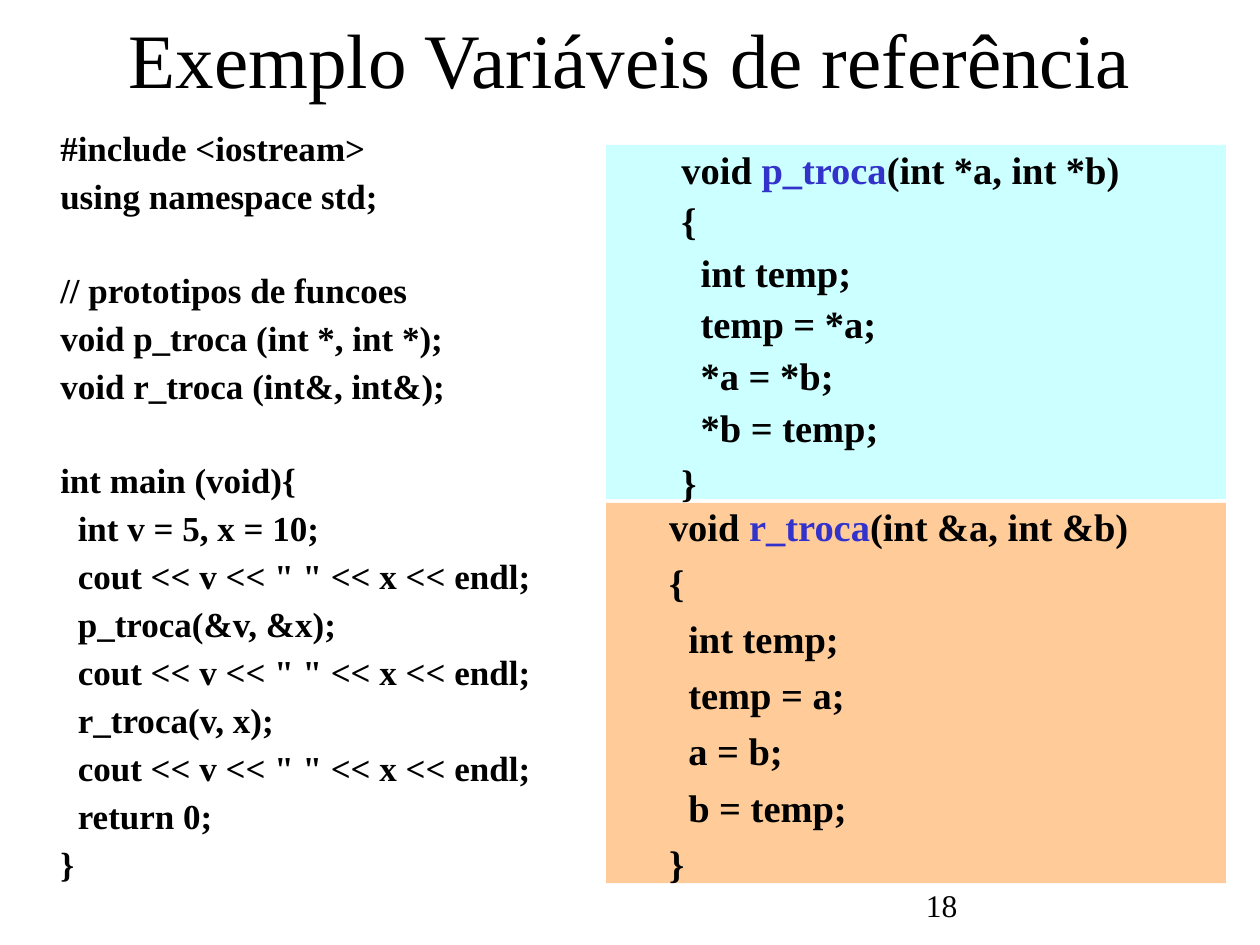
from pptx import Presentation
from pptx.dml.color import RGBColor
from pptx.enum.shapes import MSO_SHAPE
from pptx.enum.text import MSO_ANCHOR, PP_ALIGN
from pptx.util import Inches, Pt

RECT = MSO_SHAPE.RECTANGLE
LEFT, CENTER = PP_ALIGN.LEFT, PP_ALIGN.CENTER
TOP, MIDDLE = MSO_ANCHOR.TOP, MSO_ANCHOR.MIDDLE
FONT = "Times New Roman"
COLORS = {"ink": "000000", "name": "3333CC", "cyan": "CCFFFF", "peach": "FFCC99"}

MAIN = """#include <iostream>
using namespace std;

// prototipos de funcoes
void p_troca (int *, int *);
void r_troca (int&, int&);

int main (void){
  int v = 5, x = 10;
  cout << v << " " << x << endl;
  p_troca(&v, &x);
  cout << v << " " << x << endl;
  r_troca(v, x);
  cout << v << " " << x << endl;
  return 0;
}"""

P_SWAP = """void p_troca(int *a, int *b)
{
  int temp;
  temp = *a;
  *a = *b;
  *b = temp;
}"""

R_SWAP = """void r_troca(int &a, int &b)
{
  int temp;
  temp = a;
  a = b;
  b = temp;
}"""


def rgb(key):
    return RGBColor.from_string(COLORS[key])


def add_run(para, text, size, bold, color):
    run = para.add_run()
    run.text = text
    font = run.font
    font.name, font.size, font.bold = FONT, Pt(size), bold
    font.color.rgb = rgb(color)


def write(shape, text, size=20, bold=False, mark="", align=LEFT, anchor=TOP,
          inset=(0.1, 0.05), margin=0, line=1.0, before=0, last=None):
    """Fill a shape; leading spaces become indents, empty lines become spacing."""
    frame = shape.text_frame
    frame.word_wrap = True
    frame.vertical_anchor = anchor
    frame.margin_left = frame.margin_right = Inches(inset[0])
    frame.margin_top = frame.margin_bottom = Inches(inset[1])
    rows = text.split("\n")
    para, gap = frame.paragraphs[0], before
    for i, row in enumerate(rows):
        code = row.lstrip()
        if not code:
            gap += before + size * 1.15 * line
            continue
        if i:
            para = frame.add_paragraph()
        if last is not None and i == len(rows) - 1:
            gap = last
        para.alignment, para.line_spacing = align, line
        para.space_before, gap = Pt(gap), before
        step = Pt((len(row) - len(code)) * size / 4)
        props = para._p.get_or_add_pPr()
        props.set("marL", str(Inches(margin) + step))
        props.set("indent", "0")
        if mark and mark in code:
            head, name, tail = code.partition(mark)
            parts = ((head, "ink"), (name, "name"), (tail, "ink"))
        else:
            parts = ((code, "ink"),)
        for part, color in parts:
            add_run(para, part, size, bold, color)


def add_text(slide, box, text, **style):
    write(slide.shapes.add_textbox(*map(Inches, box)), text, **style)


def add_panel(slide, box, fill, text, **style):
    panel = slide.shapes.add_shape(RECT, *map(Inches, box))
    panel.shadow.inherit = False
    panel.fill.solid()
    panel.fill.fore_color.rgb = rgb(fill)
    panel.line.fill.background()
    write(panel, text, size=22, bold=True, margin=0.5, before=5.7, **style)


def main():
    deck = Presentation()
    deck.slide_width, deck.slide_height = Inches(10), Inches(7.5)
    slide = deck.slides.add_slide(deck.slide_layouts[6])
    add_text(slide, (7.25, 6.98, 2.08, 0.5), "18", size=18)
    add_text(slide, (0, 0.08, 10, 0.75), "Exemplo Variáveis de referência",
             size=44, align=CENTER, anchor=MIDDLE)
    add_text(slide, (-0.12, 0.99, 5.51, 6.25), MAIN,
             bold=True, margin=0.5, line=0.9, before=5.8)
    add_panel(slide, (4.81, 3.99, 4.92, 3.02), "peach", R_SWAP,
              mark="r_troca", inset=(0, 0))
    add_panel(slide, (4.81, 1.15, 4.92, 2.81), "cyan", P_SWAP,
              mark="p_troca", line=0.9, last=7.7)
    deck.save("out.pptx")


if __name__ == "__main__":
    main()
